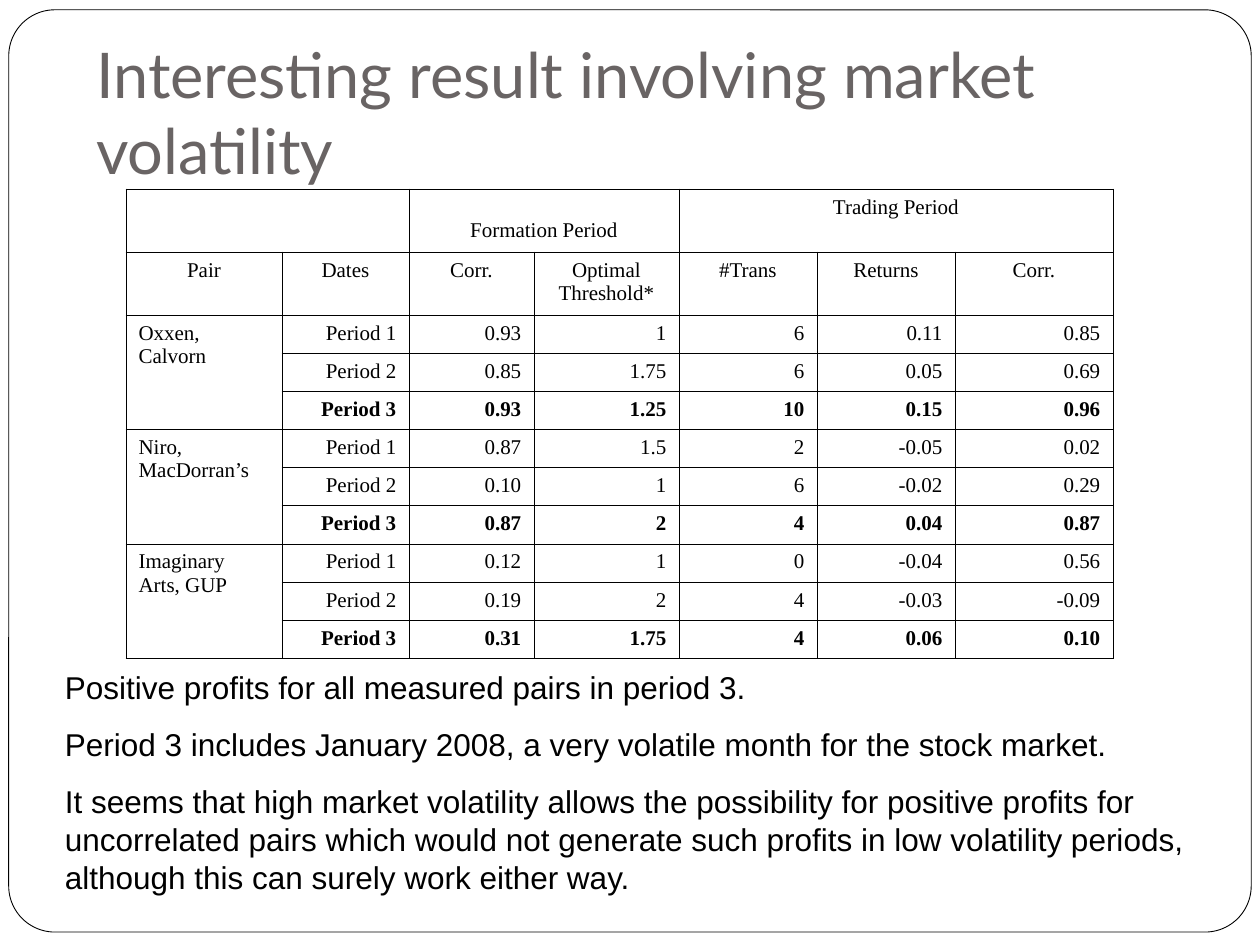
"""Build the slide on pairs-trading results and market volatility."""
from dataclasses import dataclass

from lxml.etree import SubElement
from pptx import Presentation
from pptx.dml.color import RGBColor
from pptx.enum.shapes import MSO_SHAPE as SHAPE
from pptx.enum.text import MSO_ANCHOR as ANCHOR, PP_ALIGN as ALIGN
from pptx.oxml.ns import qn
from pptx.util import Pt


@dataclass(frozen=True)
class Theme:
    ink: RGBColor = RGBColor(0, 0, 0)
    paper: RGBColor = RGBColor(255, 255, 255)
    heading: RGBColor = RGBColor(0x69, 0x64, 0x64)
    title_size: int = 36
    body_size: int = 18
    table_size: int = 12


def write(p, text, name, size, color, bold=False):
    r = p.add_run()
    r.text = text
    for key, value in {"name": name, "size": Pt(size), "bold": bold}.items():
        setattr(r.font, key, value)
    r.font.color.rgb = color


def add_box(s, left, top, width, height, **frame):
    tf = s.shapes.add_textbox(Pt(left), Pt(top), Pt(width), Pt(height)).text_frame
    for key, value in {"word_wrap": True, **frame}.items():
        setattr(tf, key, value)
    return tf


theme = Theme()
prs = Presentation()
prs.slide_width, prs.slide_height = Pt(720), Pt(540)
s = prs.slides.add_slide(prs.slide_layouts[6])

sp = s.shapes.add_shape(SHAPE.ROUNDED_RECTANGLE, Pt(5), Pt(5.6), Pt(710), Pt(527))
sp.adjustments[0] = 0.05
sp.shadow.inherit = False
sp.fill.solid()
sp.fill.fore_color.rgb = theme.paper
sp.line.color.rgb = theme.ink
sp.line.width = Pt(0.5)

tf = add_box(s, 48, 24, 612, 90, vertical_anchor=ANCHOR.BOTTOM, margin_bottom=Pt(7.2))
write(tf.paragraphs[0], "Interesting result involving market volatility",
      "Lato", theme.title_size, theme.heading)

results = {
    "Oxxen, Calvorn": [
        ("0.93", "1", "6", "0.11", "0.85"),
        ("0.85", "1.75", "6", "0.05", "0.69"),
        ("0.93", "1.25", "10", "0.15", "0.96"),
    ],
    "Niro, MacDorran’s": [
        ("0.87", "1.5", "2", "-0.05", "0.02"),
        ("0.10", "1", "6", "-0.02", "0.29"),
        ("0.87", "2", "4", "0.04", "0.87"),
    ],
    "Imaginary Arts, GUP": [
        ("0.12", "1", "0", "-0.04", "0.56"),
        ("0.19", "2", "4", "-0.03", "-0.09"),
        ("0.31", "1.75", "4", "0.06", "0.10"),
    ],
}
rows = [
    ("", "", "Formation Period", "", "Trading Period", "", ""),
    ("Pair", "Dates", "Corr.", "Optimal Threshold*", "#Trans", "Returns", "Corr."),
]
for pair, periods in results.items():
    for n, values in enumerate(periods, 1):
        rows.append((pair if n == 1 else "", f"Period {n}", *values))

col_widths = [89.1, 72.6, 71.4, 82.9, 78.9, 78.9, 90.2]
row_heights = [36] * 2 + [21.8] * 9
table = s.shapes.add_table(len(rows), len(col_widths), Pt(72), Pt(108),
                           Pt(sum(col_widths)), Pt(sum(row_heights))).table
table.first_row = table.horz_banding = False
for col, width in zip(table.columns, col_widths):
    col.width = Pt(width)
for row, height in zip(table.rows, row_heights):
    row.height = Pt(height)

for i, row in enumerate(rows):
    for j, text in enumerate(row):
        cell = table.cell(i, j)
        tcPr = cell._tc.get_or_add_tcPr()
        for side in ("lnL", "lnR", "lnT", "lnB"):
            ln = SubElement(tcPr, qn(f"a:{side}"), w=str(Pt(0.45)))
            fill = SubElement(ln, qn("a:solidFill"))
            SubElement(fill, qn("a:srgbClr"), val=str(theme.ink))
        cell.fill.background()
        p = cell.text_frame.paragraphs[0]
        p.alignment = ALIGN.CENTER if i < 2 else ALIGN.RIGHT if j else ALIGN.LEFT
        if text:
            write(p, text, "Times New Roman", theme.table_size, theme.ink,
                  bold=j > 0 and row[1] == "Period 3")

table.cell(0, 2).margin_top = Pt(17)
for first, last in [((0, 0), (0, 1)), ((0, 2), (0, 3)), ((0, 4), (0, 6)),
                    *(((i, 0), (i + 2, 0)) for i in range(2, len(rows), 3))]:
    table.cell(*first).merge(table.cell(*last))

notes = [
    "Positive profits for all measured pairs in period 3.",
    "Period 3 includes January 2008, a very volatile month for the stock market.",
    "It seems that high market volatility allows the possibility for positive profits for "
    "uncorrelated pairs which would not generate such profits in low volatility periods, "
    "although this can surely work either way.",
]
tf = add_box(s, 30, 378, 672, 138)
for n, note in enumerate(notes):
    p = tf.add_paragraph() if n else tf.paragraphs[0]
    p.space_before = Pt(11.2 if n else 0)
    write(p, note, "Arial", theme.body_size, theme.ink)

prs.save("out.pptx")
